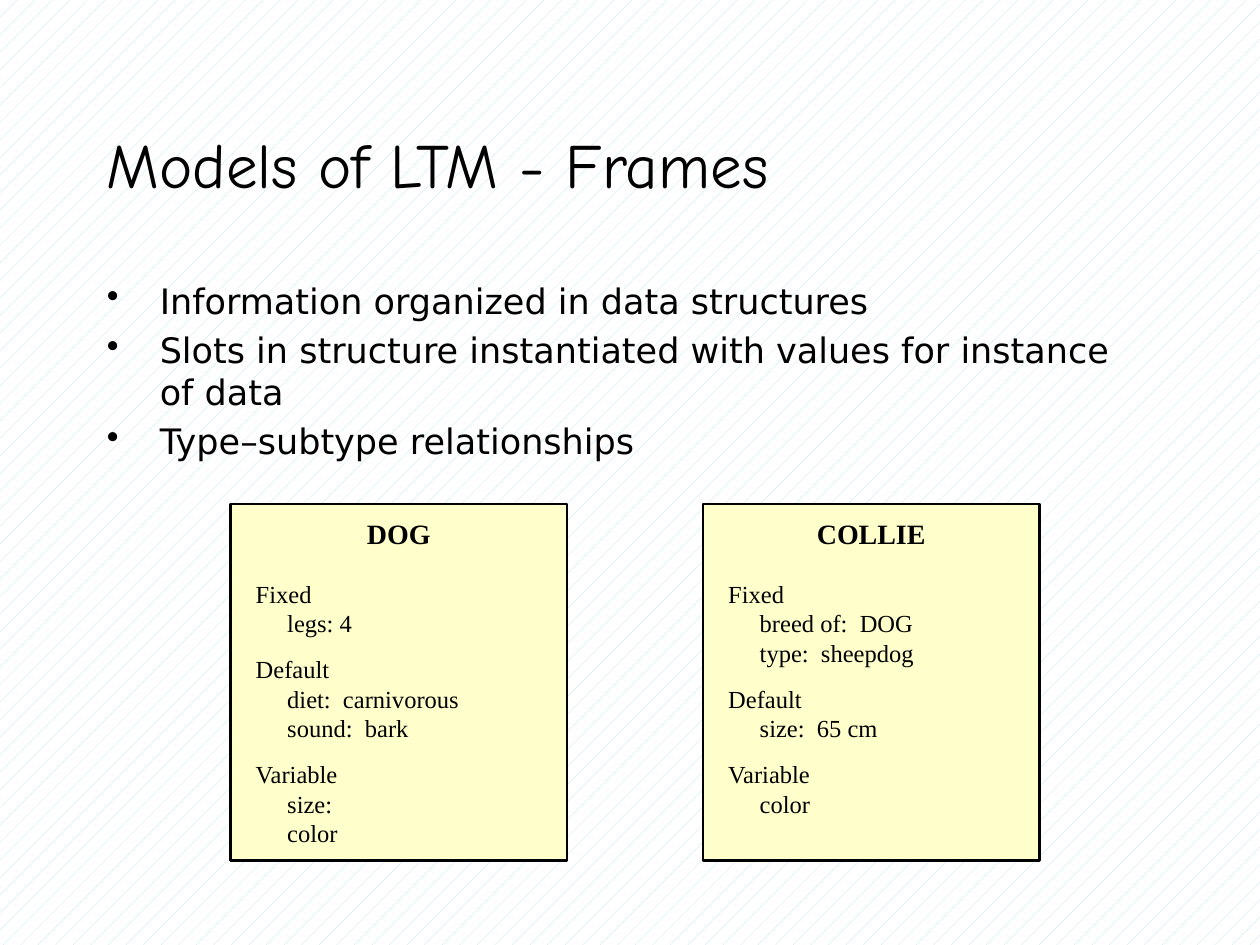
from pptx import Presentation
from pptx.dml.color import RGBColor
from pptx.enum import dml, shapes, text
from pptx.oxml.ns import qn
from pptx.util import Inches, Pt
from lxml import etree


def rgb(code):
    return RGBColor.from_string(code)


class Deck:
    ink, card, tint = "000000", "FFFFCC", "BBE0E3"
    head, body, serif = "Comic Neue", "DejaVu Sans", "Times New Roman"

    def __init__(self, wide, high):
        self.prs = Presentation()
        self.prs.slide_width, self.prs.slide_height = Inches(wide), Inches(high)
        self.slide = self.prs.slides.add_slide(self.prs.slide_layouts[6])

    def back(self):
        fill = self.slide.background.fill
        fill.patterned()
        fill.pattern = dml.MSO_PATTERN.PERCENT_5
        fill.fore_color.rgb = rgb(self.tint)
        fill.back_color.rgb = rgb("FFFFFF")

    def style(self, para, font, size, bold=False):
        para.font.name, para.font.size = font, Pt(size)
        para.font.bold = bold
        para.font.color.rgb = rgb(self.ink)

    def lines(self, frame, words):
        """Fill the frame, one paragraph for each text."""
        for i, word in enumerate(words):
            para = frame.add_paragraph() if i else frame.paragraphs[0]
            para.text = word
            yield i, para

    def box(self, at, anchor):
        frame = self.slide.shapes.add_textbox(*map(Inches, at)).text_frame
        frame.word_wrap = True
        frame.vertical_anchor = anchor
        return frame

    def title(self, at, word):
        frame = self.box(at, text.MSO_ANCHOR.MIDDLE)
        for _, para in self.lines(frame, [word]):
            self.style(para, self.head, 36)

    def bullets(self, at, words):
        frame = self.box(at, text.MSO_ANCHOR.TOP)
        for i, para in self.lines(frame, words):
            props = para._p.get_or_add_pPr()
            props.set("marL", str(Inches(0.42)))
            props.set("indent", str(-Inches(0.42)))
            if i:
                para.space_before = Pt(4)
            etree.SubElement(props, qn("a:buChar"), char="•")
            self.style(para, self.body, 20)

    def frame(self, at, name, groups):
        rect = self.slide.shapes.add_shape(
            shapes.MSO_SHAPE.RECTANGLE, *map(Inches, at))
        rect.shadow.inherit = False
        rect.fill.solid()
        rect.fill.fore_color.rgb = rgb(self.card)
        rect.line.color.rgb = rgb(self.ink)
        rect.line.width = Pt(1.5)
        area = rect.text_frame
        area.word_wrap = True
        area.vertical_anchor = text.MSO_ANCHOR.TOP
        area.margin_left = area.margin_right = Inches(0.2)
        area.margin_top = Inches(0.1)

        words = [name]
        for group, slots in groups.items():
            words += [group, *slots]
        for i, para in self.lines(area, words):
            para.alignment = text.PP_ALIGN.LEFT if i else text.PP_ALIGN.CENTER
            if para.text in groups:
                para.space_before = Pt(16.5 if i == 1 else 9.5)
            elif i:
                para._p.get_or_add_pPr().set("marL", str(Inches(0.25)))
            self.style(para, self.serif, 14 if i else 16, bold=not i)


def main():
    deck = Deck(10, 7.5)
    deck.back()

    # Title and points
    deck.title((0.75, 0.67, 7.5, 1.25), "Models of LTM - Frames")
    deck.bullets((0.75, 2.17, 8.5, 1.75), [
        "Information organized in data structures",
        "Slots in structure instantiated with values for instance of data",
        "Type–subtype relationships",
    ])

    # Type and subtype frames
    cards = {
        "DOG": {
            "Fixed": ["legs: 4"],
            "Default": ["diet:  carnivorous", "sound:  bark"],
            "Variable": ["size:", "color"],
        },
        "COLLIE": {
            "Fixed": ["breed of:  DOG", "type:  sheepdog"],
            "Default": ["size:  65 cm"],
            "Variable": ["color"],
        },
    }
    for i, (name, groups) in enumerate(cards.items()):
        deck.frame((1.83 + 3.75 * i, 4, 2.67, 2.83), name, groups)

    deck.prs.save("out.pptx")


if __name__ == "__main__":
    main()
